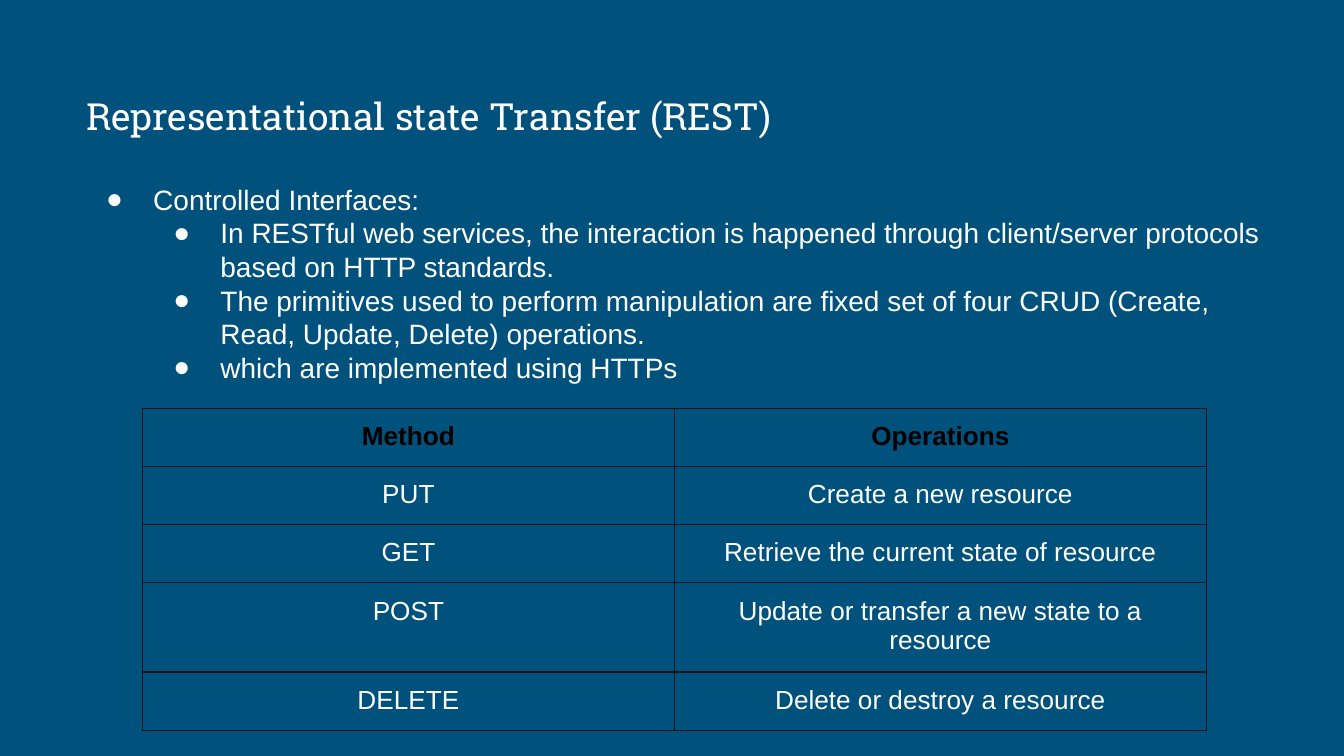
from lxml import etree
from pptx import Presentation
from pptx.dml.color import RGBColor
from pptx.enum.text import MSO_ANCHOR, MSO_AUTO_SIZE, PP_ALIGN
from pptx.oxml.ns import qn
from pptx.util import Pt

LEFT, CENTER = PP_ALIGN.LEFT, PP_ALIGN.CENTER
TOP, MIDDLE = MSO_ANCHOR.TOP, MSO_ANCHOR.MIDDLE
NO_AUTOFIT = MSO_AUTO_SIZE.NONE

BLUE = RGBColor(0x00, 0x51, 0x7C)
WHITE = RGBColor(0xFF, 0xFF, 0xFF)
BLACK = RGBColor(0x00, 0x00, 0x00)
BORDER = RGBColor(0x13, 0x14, 0x17)
INSET = Pt(7.2)


def format_text(paragraph, font_name, size, color, align, bold=False):
    paragraph.alignment = align
    font = paragraph.runs[0].font
    font.name = font_name
    font.size = Pt(size)
    font.color.rgb = color
    font.bold = bold


def set_insets(holder):
    holder.margin_left = holder.margin_right = INSET
    holder.margin_top = holder.margin_bottom = INSET


prs = Presentation()
prs.slide_width, prs.slide_height = Pt(720), Pt(405)
slide = prs.slides.add_slide(prs.slide_layouts[1])
slide.background.fill.solid()
slide.background.fill.fore_color.rgb = BLUE

heading = slide.shapes.title
points = slide.placeholders[1]
for part, top, height, anchor in (
    (heading, 41.9, 40, MIDDLE),
    (points, 90.5, 124, TOP),
):
    part.left, part.top, part.width, part.height = Pt(38.9), Pt(top), Pt(645.1), Pt(height)
    frame = part.text_frame
    frame.word_wrap = True
    frame.auto_size = NO_AUTOFIT
    frame.vertical_anchor = anchor
    set_insets(frame)

heading.text_frame.text = "Representational state Transfer (REST)"
format_text(heading.text_frame.paragraphs[0], "Roboto Slab", 20, WHITE, LEFT)

bullets = [
    (0, "Controlled Interfaces:"),
    (1, "In RESTful web services, the interaction is happened through "
        "client/server protocols based on HTTP standards."),
    (1, "The primitives used to perform manipulation are fixed set of four "
        "CRUD (Create, Read, Update, Delete) operations."),
    (1, "which are implemented using HTTPs"),
]
points.text_frame.text = "\n".join(text for level, text in bullets)
for paragraph, (level, text) in zip(points.text_frame.paragraphs, bullets):
    format_text(paragraph, "Arial", 15, WHITE, LEFT)
    paragraph.level = level
    paragraph.line_spacing = Pt(18)
    paragraph.space_before = paragraph.space_after = Pt(0)
    properties = paragraph._p.get_or_add_pPr()
    properties.set("marL", str(Pt(36 * (level + 1))))
    properties.set("indent", str(Pt(-25.2)))
    bullet_color = etree.SubElement(properties, qn("a:buClr"))
    etree.SubElement(bullet_color, qn("a:srgbClr"), val=str(WHITE))
    etree.SubElement(properties, qn("a:buFont"), typeface="Arial")
    etree.SubElement(properties, qn("a:buChar"), char="●")

methods = [
    ("Method", "Operations"),
    ("PUT", "Create a new resource"),
    ("GET", "Retrieve the current state of resource"),
    ("POST", "Update or transfer a new state to a resource"),
    ("DELETE", "Delete or destroy a resource"),
]
row_heights = [31.2, 31.2, 31.2, 47.8, 31.2]
table = slide.shapes.add_table(
    len(methods), 2, Pt(76.3), Pt(218.7), Pt(570), Pt(sum(row_heights))
).table
table.first_row = False
table.horz_banding = False
for column in table.columns:
    column.width = Pt(285)
for row_index, (row, height) in enumerate(zip(table.rows, row_heights)):
    row.height = Pt(height)
    is_header = row_index == 0
    for cell, text in zip(row.cells, methods[row_index]):
        cell.text_frame.text = text
        set_insets(cell)
        cell.vertical_anchor = TOP
        format_text(cell.text_frame.paragraphs[0], "Arial", 14,
                    BLACK if is_header else WHITE, CENTER, is_header)
        cell_properties = cell._tc.get_or_add_tcPr()
        for side in ("a:lnL", "a:lnR", "a:lnT", "a:lnB"):
            edge = etree.SubElement(cell_properties, qn(side), w=str(Pt(0.75)))
            edge_fill = etree.SubElement(edge, qn("a:solidFill"))
            etree.SubElement(edge_fill, qn("a:srgbClr"), val=str(BORDER))
        cell.fill.background()

prs.save("out.pptx")
